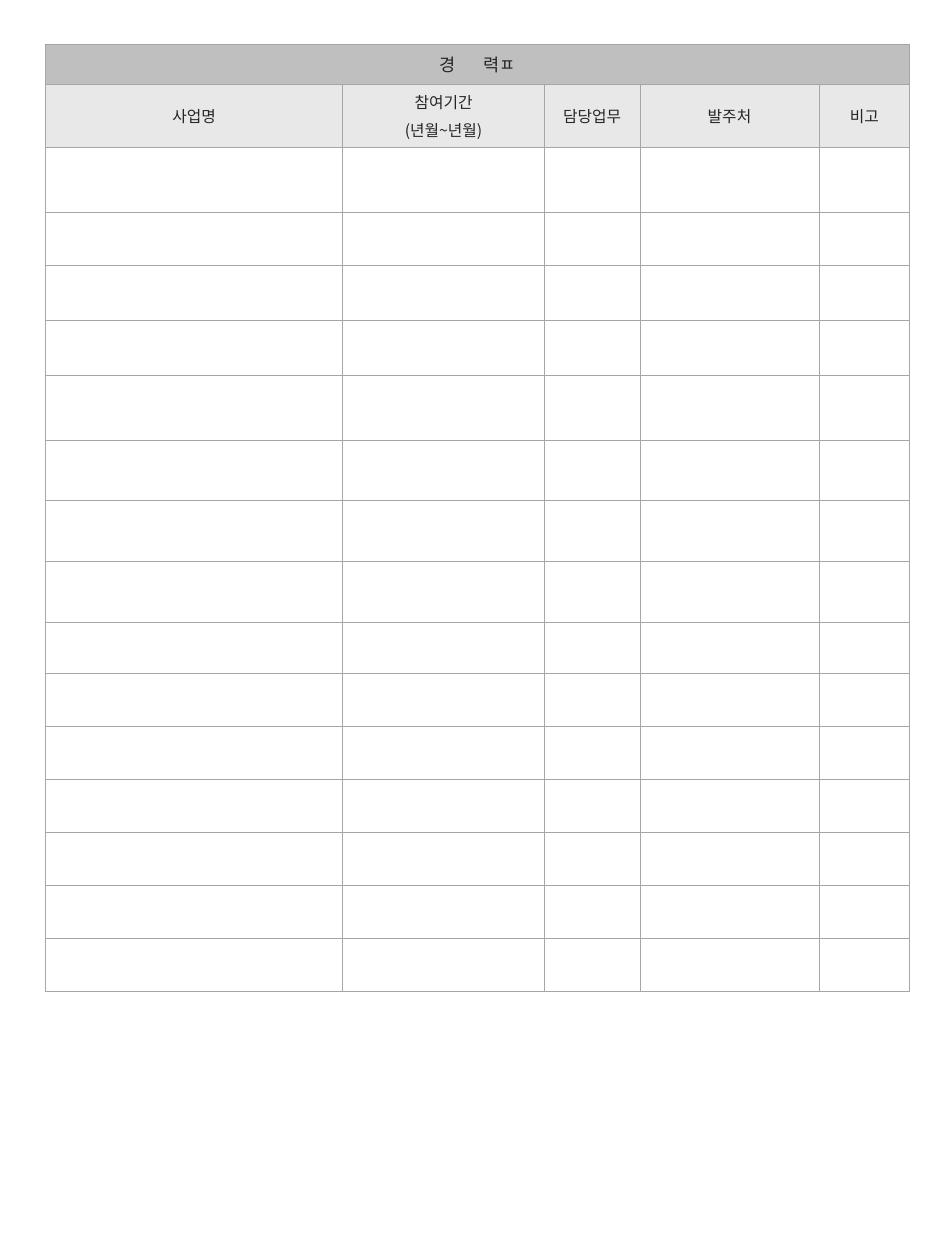
from lxml.etree import SubElement
from pptx import Presentation
from pptx.dml.color import RGBColor
from pptx.enum.text import MSO_ANCHOR as Anchor, PP_ALIGN as Align
from pptx.oxml.ns import qn
from pptx.util import Inches, Pt

FONT = "Noto Sans CJK KR"
COLUMN_WIDTHS = [2.36, 1.6, 0.76, 1.42, 0.72]
ROW_HEIGHTS = [0.32, 0.5, 0.52, 0.42, 0.43, 0.44, 0.52, 0.47, 0.49, 0.48,
               0.41] + [0.42] * 6
HEADINGS = [["사업명"], ["참여기간", "(년월~년월)"], ["담당업무"], ["발주처"], ["비고"]]
FIRST_WHITE_ROW = 9


def color(value):
    return RGBColor.from_string(value)


def add_text(para, text, size=9, spacing=0):
    para.alignment = Align.CENTER
    para.space_before = Pt(3)
    span = para.add_run()
    span.text = text
    span.font.size = Pt(size)
    span.font.name = FONT
    span.font.color.rgb = color("262626")
    properties = span.font._element
    SubElement(properties, qn("a:ea"), typeface=FONT)
    if spacing:
        properties.set("spc", str(spacing * 100))


deck = Presentation()
deck.slide_width, deck.slide_height = Inches(7.5), Inches(10)
page = deck.slides.add_slide(deck.slide_layouts[6])

# Table grid
frame = page.shapes.add_table(
    len(ROW_HEIGHTS), len(COLUMN_WIDTHS), Inches(0.36), Inches(0.35),
    Inches(sum(COLUMN_WIDTHS)), Inches(sum(ROW_HEIGHTS)))
table = frame.table
table.first_row = table.horz_banding = False
for column, width in zip(table.columns, COLUMN_WIDTHS):
    column.width = Inches(width)
for row, height in zip(table.rows, ROW_HEIGHTS):
    row.height = Inches(height)

# Borders and fills
for r in range(len(ROW_HEIGHTS)):
    for c in range(len(COLUMN_WIDTHS)):
        cell = table.cell(r, c)
        cell.vertical_anchor = Anchor.MIDDLE
        properties = cell._tc.get_or_add_tcPr()
        for side in ("a:lnL", "a:lnR", "a:lnT", "a:lnB"):
            line = SubElement(properties, qn(side), w=str(Pt(0.5)))
            paint = SubElement(line, qn("a:solidFill"))
            SubElement(paint, qn("a:srgbClr"), val="A6A6A6")
        if r < 2:
            cell.fill.solid()
            cell.fill.fore_color.rgb = color("BFBFBF" if r == 0 else "E8E8E8")
        else:
            # Small type keeps the empty rows at their set height
            SubElement(cell.text_frame.paragraphs[0]._p,
                       qn("a:endParaRPr"), sz="900")
            if r >= FIRST_WHITE_ROW and c < len(COLUMN_WIDTHS) - 1:
                cell.fill.solid()
                cell.fill.fore_color.rgb = color("FFFFFF")
            else:
                cell.fill.background()

# Title row, with a widened space between the syllables
title = table.cell(0, 0)
title.merge(table.cell(0, len(COLUMN_WIDTHS) - 1))
para = title.text_frame.paragraphs[0]
add_text(para, "경", size=10)
add_text(para, " ", size=10, spacing=14)
add_text(para, "력ㅍ", size=10)

# Column headings
for c, lines in enumerate(HEADINGS):
    cell = table.cell(1, c)
    if c > 0:
        cell.margin_left = cell.margin_right = Inches(0.02)
        cell.margin_top = cell.margin_bottom = Inches(0.02)
    box = cell.text_frame
    for i, text in enumerate(lines):
        add_text(box.add_paragraph() if i else box.paragraphs[0], text)

deck.save("out.pptx")
